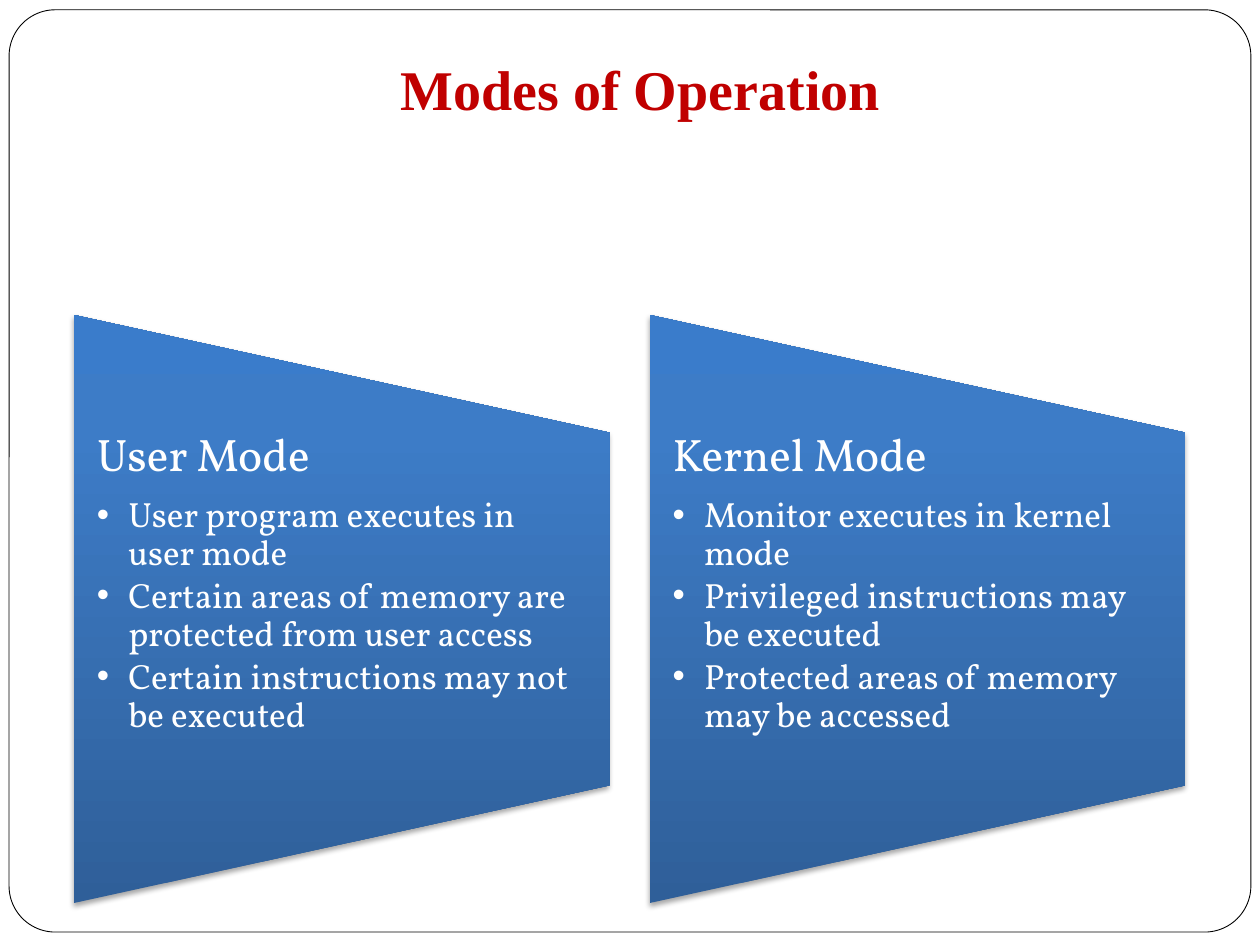
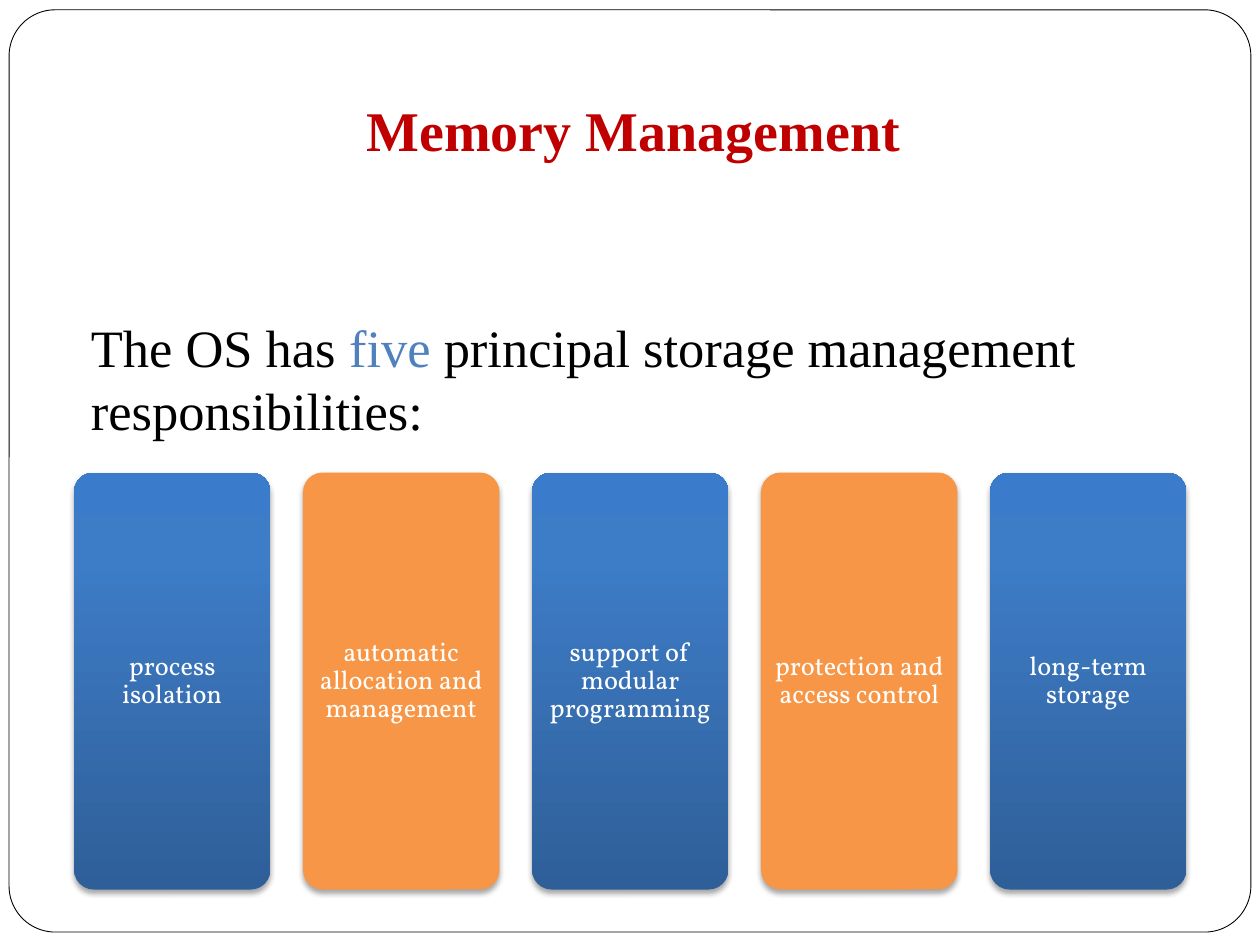
from dataclasses import dataclass

from pptx import Presentation
from pptx.dml.color import RGBColor
from pptx.enum.shapes import MSO_SHAPE
from pptx.enum.text import MSO_ANCHOR, MSO_AUTO_SIZE, PP_ALIGN
from pptx.oxml import parse_xml
from pptx.oxml.ns import nsdecls, qn
from pptx.util import Pt

ROUNDED = MSO_SHAPE.ROUNDED_RECTANGLE
TRAPEZOID = MSO_SHAPE.FLOWCHART_MANUAL_OPERATION
TOP, MIDDLE = MSO_ANCHOR.TOP, MSO_ANCHOR.MIDDLE
CENTER, LEFT = PP_ALIGN.CENTER, PP_ALIGN.LEFT
NO_AUTOFIT = MSO_AUTO_SIZE.NONE

TITLE_AND_BODY, TWO_BODIES = 1, 3
SERIF, DIAGRAM_FONT = "Times New Roman", "Vollkorn"
COLORS = {
    "title": "C00000",
    "text": "000000",
    "accent": "4F81BD",
    "white": "FFFFFF",
    "orange": "F79646",
    "blue_dark": "2F5F99",
    "blue_mid": "3D7CC7",
    "blue_light": "3A7CCB",
}
BLUE_STOPS = ((0, "blue_dark"), (80, "blue_mid"), (100, "blue_light"))
DIAGRAM_LEFT = 42.3


@dataclass(frozen=True)
class Box:
    """A rectangle in points."""
    left: float
    top: float
    width: float
    height: float

    def lengths(self) -> tuple:
        return Pt(self.left), Pt(self.top), Pt(self.width), Pt(self.height)


@dataclass(frozen=True)
class Mode:
    name: str
    rules: tuple


MODES = (
    Mode("User Mode", (
        "User program executes in user mode",
        "Certain areas of memory are protected from user access",
        "Certain instructions may not be executed",
    )),
    Mode("Kernel Mode", (
        "Monitor executes in kernel mode",
        "Privileged instructions may be executed",
        "Protected areas of memory may be accessed",
    )),
)
RESPONSIBILITIES = (
    "process isolation",
    "automatic allocation and management",
    "support of modular programming",
    "protection and access control",
    "long-term storage",
)


def rgb(color: str) -> RGBColor:
    return RGBColor.from_string(COLORS[color])


def style(paragraph, size: float, font: str, color: str, align=LEFT, bold=False) -> None:
    paragraph.alignment = align
    paragraph.space_before = Pt(0)
    paragraph.font.size = Pt(size)
    paragraph.font.name = font
    paragraph.font.bold = bold
    paragraph.font.color.rgb = rgb(color)


def set_indent(paragraph, hanging: float, bullet: str = "") -> None:
    """Give a hanging bullet, or remove the inherited one."""
    properties = paragraph._p.get_or_add_pPr()
    properties.set("marL", str(Pt(hanging)))
    properties.set("indent", str(-Pt(hanging)))
    mark = f'<a:buChar {nsdecls("a")} char="{bullet}"/>' if bullet else f'<a:buNone {nsdecls("a")}/>'
    properties.append(parse_xml(mark))


def prepare_frame(shape, anchor=TOP, side: float = 0, ends: float = 0):
    frame = shape.text_frame
    frame.auto_size = NO_AUTOFIT
    frame.word_wrap = True
    frame.vertical_anchor = anchor
    frame.margin_left = frame.margin_right = Pt(side)
    frame.margin_top = frame.margin_bottom = Pt(ends)
    return frame


def place(shape, box: Box) -> None:
    shape.left, shape.top, shape.width, shape.height = box.lengths()


def add_blue_gradient(shape) -> None:
    """Fill upwards from dark to light, whatever the shape's rotation."""
    stops = "".join(
        f'<a:gs pos="{position * 1000}"><a:srgbClr val="{COLORS[color]}"/></a:gs>'
        for position, color in BLUE_STOPS
    )
    shape.fill.gradient()
    properties = shape.element.spPr
    properties.replace(properties.find(qn("a:gradFill")), parse_xml(
        f'<a:gradFill {nsdecls("a")} rotWithShape="0"><a:gsLst>{stops}</a:gsLst>'
        '<a:lin ang="16200000" scaled="0"/></a:gradFill>'))


def add_panel(slide, preset, box: Box, color: str = ""):
    """Add a shadowed panel: plain in the given colour, else blue gradient."""
    panel = slide.shapes.add_shape(preset, *box.lengths())
    panel.line.fill.background()
    if color:
        panel.fill.solid()
        panel.fill.fore_color.rgb = rgb(color)
    else:
        add_blue_gradient(panel)
    panel.shadow.inherit = False
    panel.element.spPr.find(qn("a:effectLst")).append(parse_xml(
        f'<a:outerShdw {nsdecls("a")} blurRad="{Pt(3.1)}" dist="{Pt(1.8)}" dir="5400000" '
        'rotWithShape="0"><a:srgbClr val="000000"><a:alpha val="35000"/></a:srgbClr></a:outerShdw>'))
    return panel


def add_slide(prs, layout: int, title: str, title_box: Box):
    """Add a slide with the rounded page border and a red title."""
    slide = prs.slides.add_slide(prs.slide_layouts[layout])
    border = slide.shapes.add_shape(ROUNDED, *Box(5.2, 5.6, 709.6, 527).lengths())
    border.adjustments[0] = 0.05
    border.fill.background()
    border.line.color.rgb = rgb("text")
    border.line.width = Pt(0.5)
    border.shadow.inherit = False
    heading = slide.shapes.title
    heading.element.addprevious(border.element)
    place(heading, title_box)
    paragraph = prepare_frame(heading).paragraphs[0]
    paragraph.text = title
    style(paragraph, 32, SERIF, "title", CENTER, bold=True)
    return slide


def fill_mode(slide, column: int, mode: Mode) -> None:
    """Put a mode's list over a trapezoid turned a quarter to the left."""
    left, width, height = DIAGRAM_LEFT + 329 * column, 306, 336
    turned = Box(left + (width - height) / 2, 180 + (height - width) / 2, height, width)
    trapezoid = add_panel(slide, TRAPEZOID, turned)
    trapezoid.rotation = 270

    listing = slide.placeholders[column + 1]
    listing.element.addprevious(trapezoid.element)
    place(listing, Box(left, 247, width, 201.6))
    frame = prepare_frame(listing, side=13)
    name = frame.paragraphs[0]
    name.text = mode.name
    set_indent(name, 0)
    style(name, 26, DIAGRAM_FONT, "white")
    name.line_spacing = 0.9
    name.space_after = Pt(9.1)
    for rule in mode.rules:
        item = frame.add_paragraph()
        item.text = rule
        item.level = 1
        set_indent(item, 18, "•")
        style(item, 20, DIAGRAM_FONT, "white")
        item.line_spacing = 0.9
        item.space_after = Pt(3)


def build_modes(prs) -> None:
    slide = add_slide(prs, TWO_BODIES, "Modes of Operation", Box(72, 31, 588, 39))
    for column, mode in enumerate(MODES):
        fill_mode(slide, column, mode)


def build_memory(prs) -> None:
    slide = add_slide(prs, TITLE_AND_BODY, "Memory Management", Box(54, 54.7, 616, 39))
    intro = slide.placeholders[1]
    place(intro, Box(52, 180, 620, 312))
    sentence = prepare_frame(intro).paragraphs[0]
    set_indent(sentence, 0)
    style(sentence, 30, SERIF, "text")
    for words, color in (
        ("The OS has ", "text"),
        ("five", "accent"),
        (" principal storage management responsibilities:", "text"),
    ):
        run = sentence.add_run()
        run.text = words
        run.font.color.rgb = rgb(color)

    for column, duty in enumerate(RESPONSIBILITIES):
        box = Box(DIAGRAM_LEFT + 130.85 * column, 270, 112.3, 238.3)
        card = add_panel(slide, ROUNDED, box, "orange" if column % 2 else "")
        card.adjustments[0] = 0.1
        label = prepare_frame(card, MIDDLE, side=4.3, ends=4.3).paragraphs[0]
        label.text = duty
        style(label, 15, DIAGRAM_FONT, "white", CENTER)
        label.line_spacing = 0.9


def main() -> None:
    prs = Presentation()
    prs.slide_width, prs.slide_height = Pt(720), Pt(540)
    build_modes(prs)
    build_memory(prs)
    prs.save("out.pptx")


if __name__ == "__main__":
    main()
